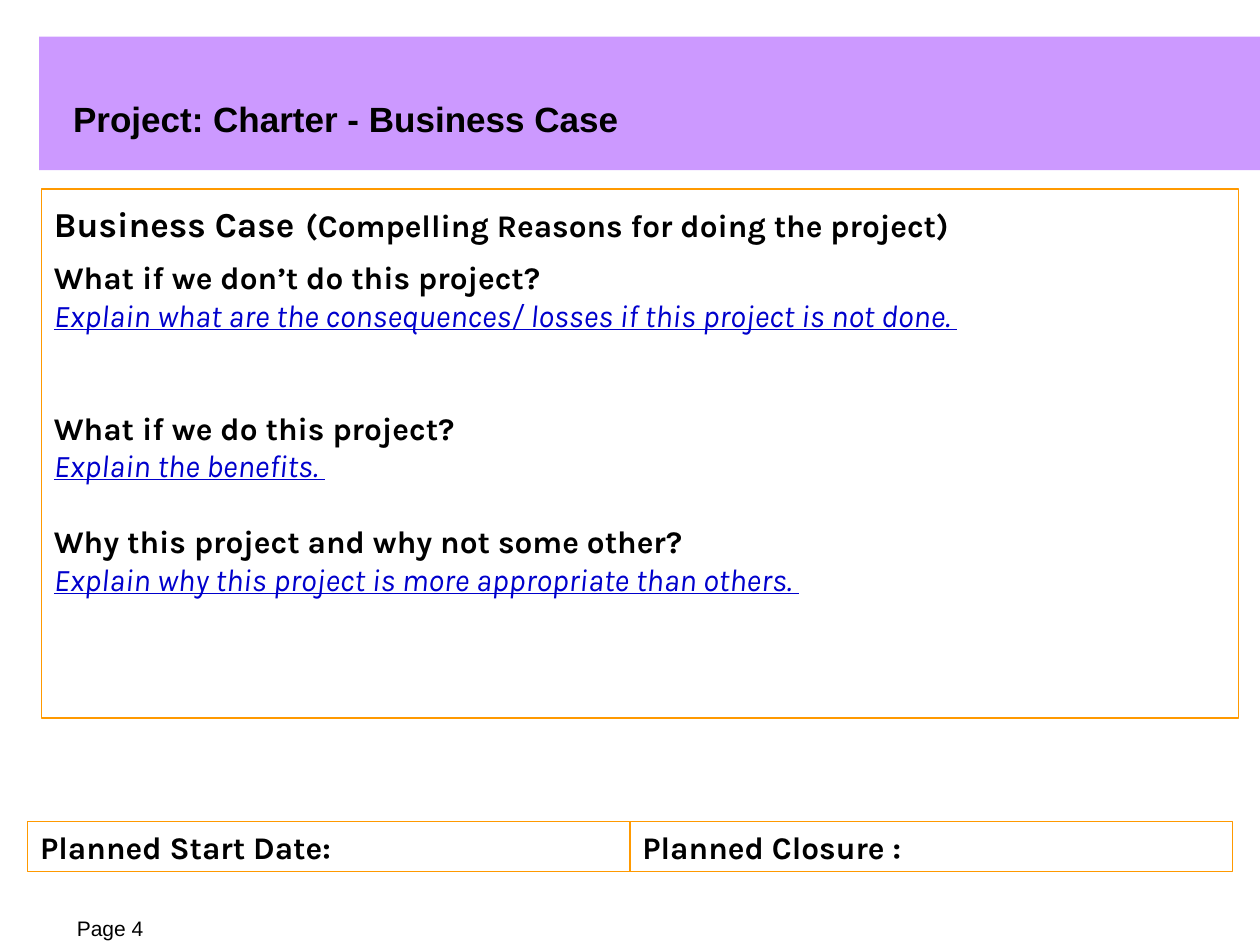
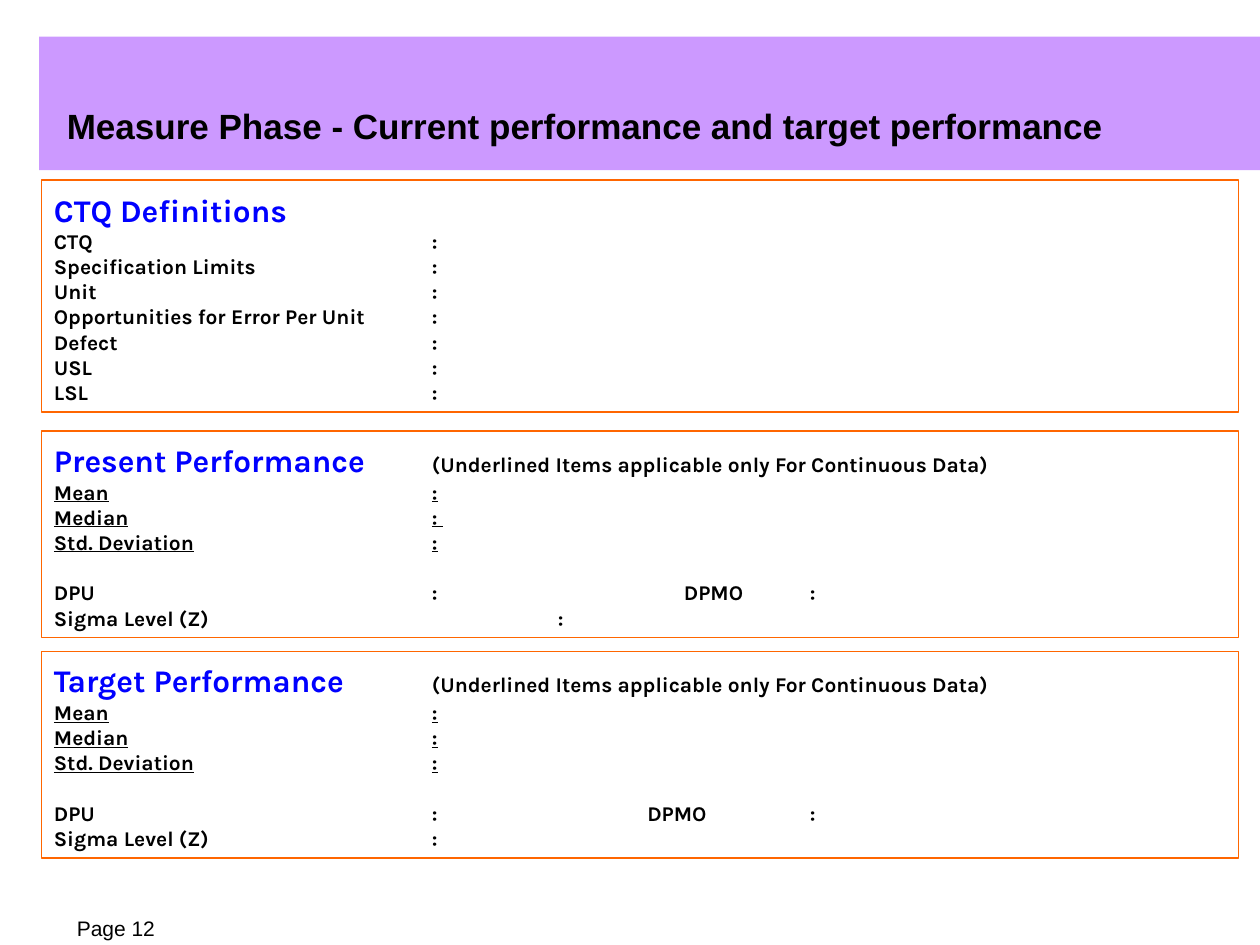
"""Build the project charter and measure phase slides."""
from lxml.etree import SubElement
from pptx import Presentation
from pptx.dml.color import RGBColor
from pptx.enum.shapes import MSO_SHAPE
from pptx.enum.text import MSO_ANCHOR, PP_ALIGN
from pptx.oxml.ns import qn
from pptx.util import Inches, Pt

HUES = {
    "band": "CC99FF", "black": "000000", "amber": "FF9900",
    "orange": "FF6600", "link": "0000CC", "blue": "0000FF",
}
TOP, MID, BASE = MSO_ANCHOR.TOP, MSO_ANCHOR.MIDDLE, MSO_ANCHOR.BOTTOM
NOTE = "(Underlined Items applicable only For Continuous Data)"


def hue(name):
    """Return the named colour."""
    return RGBColor.from_string(HUES[name])


def frame(item, anchor, pad=True):
    """Set up and return the text frame of a shape."""
    text = item.text_frame
    text.word_wrap = True
    text.vertical_anchor = anchor
    text.margin_left = text.margin_right = Inches(0.1 if pad else 0)
    text.margin_top = text.margin_bottom = Inches(0.05 if pad else 0)
    return text


def panel(slide, x, y, w, h, fill=None, line=None, anchor=TOP):
    """Draw a flat rectangle and return its text frame."""
    item = slide.shapes.add_shape(
        MSO_SHAPE.RECTANGLE, Inches(x), Inches(y), Inches(w), Inches(h))
    item.shadow.inherit = False
    if fill:
        item.fill.solid()
        item.fill.fore_color.rgb = hue(fill)
    else:
        item.fill.background()
    if line:
        item.line.color.rgb = hue(line)
        item.line.width = Pt(0.75)
    else:
        item.line.fill.background()
    return frame(item, anchor)


def label(slide, text, x, y, w, h, size, bold=False):
    """Place one line of Arial text without insets."""
    item = slide.shapes.add_textbox(Inches(x), Inches(y), Inches(w), Inches(h))
    para = frame(item, BASE, pad=False).paragraphs[0]
    write(para, text, size, bold=bold, face="Arial")


def write(para, text, size, tint="black", bold=True, slant=False,
          under=False, face="Karla"):
    """Add one styled run to a paragraph."""
    run = para.add_run()
    run.text = text
    font = run.font
    font.name, font.size = face, Pt(size)
    font.bold, font.italic, font.underline = bold, slant, under
    font.color.rgb = hue(tint)


def start(text, gap=0, stops=(), pitch=None):
    """Open a left-aligned paragraph with tab stops given in inches."""
    first = text.paragraphs[0]
    para = text.add_paragraph() if first.runs else first
    para.alignment = PP_ALIGN.LEFT
    if gap:
        para.space_before = Pt(gap)
    if pitch:
        para.line_spacing = Pt(pitch)
    if stops:
        tabs = SubElement(para._p.get_or_add_pPr(), qn("a:tabLst"))
        for stop in stops:
            SubElement(tabs, qn("a:tab"), pos=str(Inches(stop)), algn="l")
    return para


def row(text, cells, stops=(3,), gap=0, under=False):
    """Add one line of cells set apart by tabs."""
    para = start(text, gap, stops)
    for num, cell in enumerate(cells):
        if num:
            write(para, "\t", 12)
        write(para, cell, 12, under=under)


def head(text, title, note=None):
    """Add a blue heading with an optional note beside it."""
    para = start(text, stops=(3,), pitch=24)
    write(para, title, 18, "blue")
    if note:
        write(para, "\t", 20)
        write(para, note, 12)


def stats(slide, y, title, median, dpmo, sigma):
    """Draw a performance panel; dpmo and sigma are tab positions."""
    text = panel(slide, 0.33, y, 9.5, 1.64, line="orange")
    head(text, title, NOTE)
    for name, mark in (("Mean", ":"), ("Median", median),
                       ("Std. Deviation", ":")):
        row(text, (name, mark), under=True)
    row(text, ("DPU", ":", "DPMO", ":"), (3, dpmo, 6), gap=14.4)
    row(text, ("Sigma Level (Z)", ":"), (sigma,))


def base(deck, title, x, y, page):
    """Add a slide with its band, title and page number."""
    slide = deck.slides.add_slide(deck.slide_layouts[6])
    panel(slide, 0.31, 0.29, 9.69, 1.06, fill="band")
    label(slide, title, x, y, 8.88, 0.33, 20, True)
    label(slide, f"Page {page}", 0.61, 7.17, 0.96, 0.3, 12)
    return slide


def charter(deck):
    """Build the business case slide."""
    slide = base(deck, "Project: Charter - Business Case", 0.58, 0.78, 4)
    for num, name in enumerate(("Planned Start Date:", "Planned Closure :")):
        text = panel(slide, 0.22 + num * 4.78, 6.52, 4.78, 0.4,
                     line="amber", anchor=MID)
        write(start(text), name, 18)
    text = panel(slide, 0.33, 1.5, 9.5, 4.2, line="amber")
    para = start(text)
    write(para, "Business Case", 20)
    write(para, " ", 24)
    write(para, "(Compelling Reasons for doing the project)", 18)
    for gap, ask, hint in (
        (7, "What if we don’t do this project?",
         "Explain what are the consequences/ losses if this project is not done. "),
        (43, "What if we do this project?", "Explain the benefits. "),
        (21.6, "Why this project and why not some other?",
         "Explain why this project is more appropriate than others. "),
    ):
        write(start(text, gap), ask, 18)
        write(start(text), hint, 18, "link", False, True, True)


def measure(deck):
    """Build the current and target performance slide."""
    slide = base(
        deck, "Measure Phase - Current performance and target performance",
        0.53, 0.83, 12)
    text = panel(slide, 0.33, 1.43, 9.5, 1.84, line="orange")
    head(text, "CTQ Definitions")
    for name in ("CTQ", "Specification Limits", "Unit",
                 "Opportunities for Error Per Unit", "Defect", "USL", "LSL"):
        row(text, (name, ":"))
    stats(slide, 3.42, "Present Performance", ": ", 5, 4)
    stats(slide, 5.17, "Target Performance", ":", 4.71, 3)


def main():
    """Build and save the deck."""
    deck = Presentation()
    deck.slide_width, deck.slide_height = Inches(10), Inches(7.5)
    charter(deck)
    measure(deck)
    deck.save("out.pptx")


if __name__ == "__main__":
    main()
